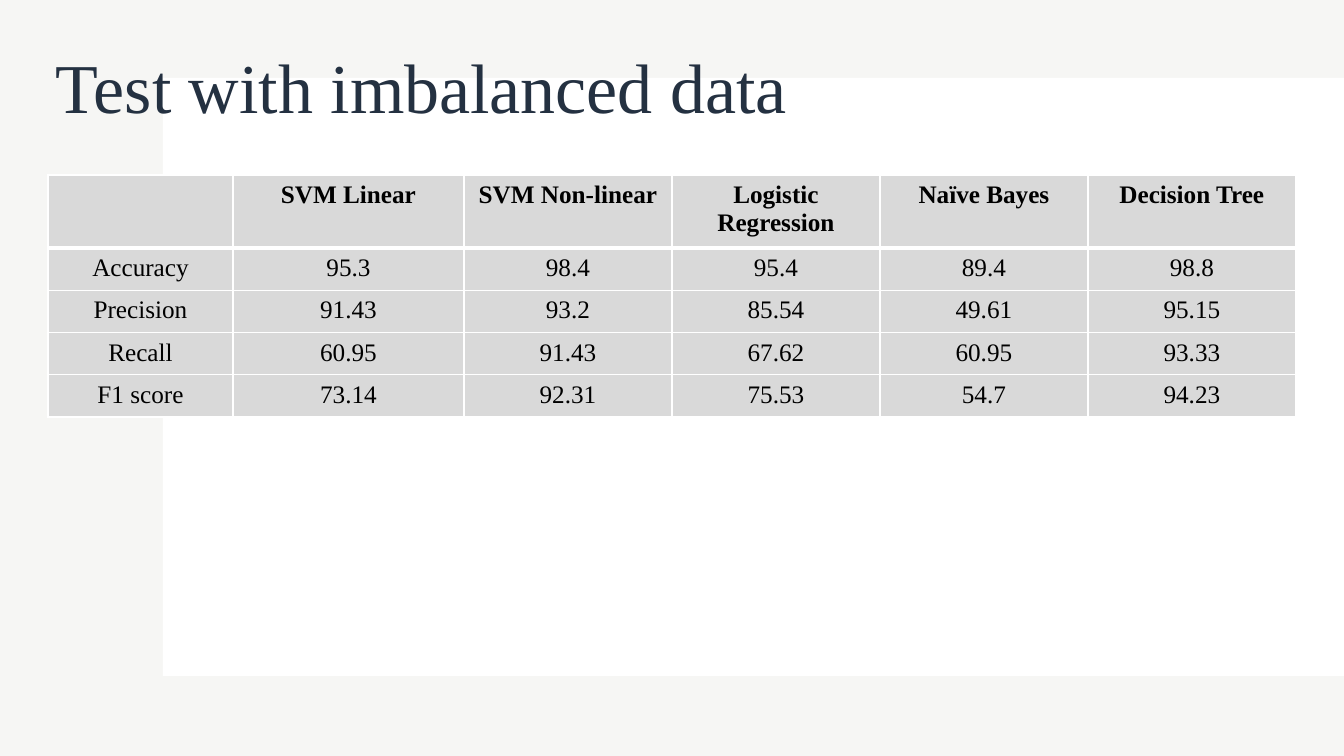
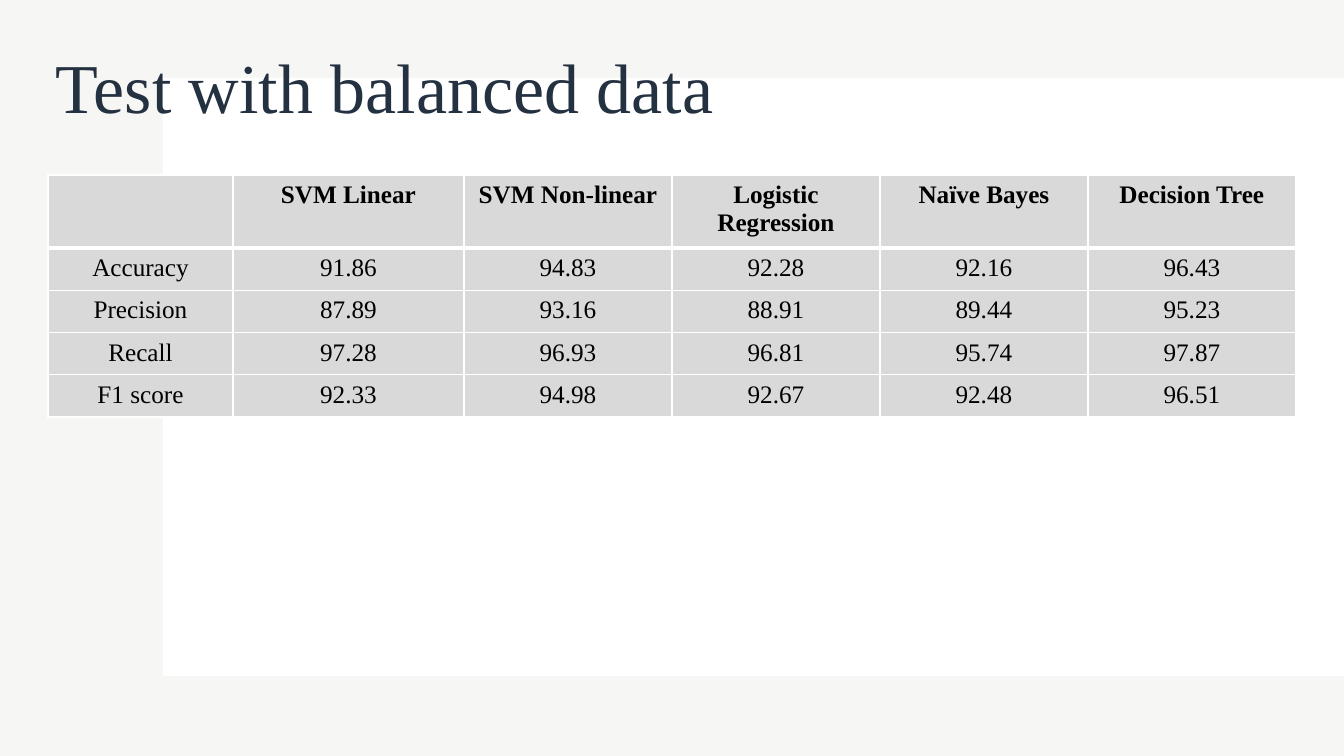
from dataclasses import dataclass

from lxml.etree import SubElement
from pptx import Presentation
from pptx.dml.color import RGBColor
from pptx.enum.shapes import MSO_SHAPE
from pptx.enum.text import MSO_ANCHOR, PP_ALIGN
from pptx.oxml import parse_xml
from pptx.oxml.ns import nsdecls, qn
from pptx.util import Emu, Pt

# Shared look
PX_PER_INCH = 100.8
SLIDE_WIDTH, SLIDE_HEIGHT = 1344, 756
FONT = "Times New Roman"
COLORS = {
    "backdrop": "E6E8E2",
    "panel": "FFFFFF",
    "title": "243141",
    "text": "000000",
    "cell": "D9D9D9",
    "border": "FFFFFF",
}

# Table grid
TABLE_LEFT, TABLE_TOP = 48, 175
COLUMN_WIDTHS = [185, 231] + [208] * 4
ROW_HEIGHTS = [73] + [42] * 4
CELL_MARGIN_X, CELL_MARGIN_Y = 12, 6
THIN, THICK = 1, 3

MODELS = ("SVM Linear", "SVM Non-linear", "Logistic Regression",
          "Naïve Bayes", "Decision Tree")
METRICS = ("Accuracy", "Precision", "Recall", "F1 score")


@dataclass(frozen=True)
class Band:
    left: int
    top: int
    width: int
    height: int
    color: str
    opacity: int = 100


@dataclass(frozen=True)
class ResultSlide:
    title: str
    scores: tuple[tuple[str, ...], ...]


BANDS = (
    Band(0, 0, SLIDE_WIDTH, SLIDE_HEIGHT, "backdrop", opacity=35),
    Band(163, 78, SLIDE_WIDTH - 163, 598, "panel"),
)

RESULTS = (
    ResultSlide("Test with imbalanced data", (
        ("95.3", "98.4", "95.4", "89.4", "98.8"),
        ("91.43", "93.2", "85.54", "49.61", "95.15"),
        ("60.95", "91.43", "67.62", "60.95", "93.33"),
        ("73.14", "92.31", "75.53", "54.7", "94.23"),
    )),
    ResultSlide("Test with balanced data", (
        ("91.86", "94.83", "92.28", "92.16", "96.43"),
        ("87.89", "93.16", "88.91", "89.44", "95.23"),
        ("97.28", "96.93", "96.81", "95.74", "97.87"),
        ("92.33", "94.98", "92.67", "92.48", "96.51"),
    )),
)


def px(length: int) -> Emu:
    return Emu(round(length * 914400 / PX_PER_INCH))


def rgb(name: str) -> RGBColor:
    return RGBColor.from_string(COLORS[name])


def add_span(para, text: str, size: int, color: str, bold: bool = False) -> None:
    span = para.add_run()
    span.text = text
    span.font.name = FONT
    span.font.size = Pt(size)
    span.font.bold = bold
    span.font.color.rgb = rgb(color)


def draw_band(page, band: Band) -> None:
    shape = page.shapes.add_shape(
        MSO_SHAPE.RECTANGLE, px(band.left), px(band.top), px(band.width), px(band.height))
    shape.shadow.inherit = False
    shape.fill.solid()
    shape.fill.fore_color.rgb = rgb(band.color)
    shape.line.fill.background()
    if band.opacity < 100:
        color = shape.fill._xPr.find(qn("a:solidFill"))[0]
        SubElement(color, qn("a:alpha"), val=str(band.opacity * 1000))


def draw_title(page, text: str) -> None:
    box = page.shapes.add_textbox(px(46), px(18), px(1162), px(146))
    frame = box.text_frame
    frame.word_wrap = True
    frame.vertical_anchor = MSO_ANCHOR.MIDDLE
    para = frame.paragraphs[0]
    para.line_spacing = 0.9
    add_span(para, text, 50, "title")


def set_borders(cell, top: int, bottom: int) -> None:
    properties = cell._tc.get_or_add_tcPr()
    sides = (("L", THIN), ("R", THIN), ("T", top), ("B", bottom))
    for position, (side, points) in enumerate(sides):
        line = parse_xml(
            f'<a:ln{side} {nsdecls("a")} w="{Pt(points)}"><a:solidFill>'
            f'<a:srgbClr val="{COLORS["border"]}"/></a:solidFill></a:ln{side}>')
        properties.insert(position, line)


def fill_cell(cell, text: str, row: int) -> None:
    cell.margin_left = cell.margin_right = px(CELL_MARGIN_X)
    cell.margin_top = cell.margin_bottom = px(CELL_MARGIN_Y)
    cell.fill.solid()
    cell.fill.fore_color.rgb = rgb("cell")
    # The heavy rule lies between the header and the first metric
    set_borders(cell, top=THICK if row == 1 else THIN, bottom=THICK if row == 0 else THIN)
    if text:
        para = cell.text_frame.paragraphs[0]
        para.alignment = PP_ALIGN.CENTER
        add_span(para, text, 18, "text", bold=row == 0)


def draw_table(page, scores: tuple[tuple[str, ...], ...]) -> None:
    rows = [("", *MODELS)] + [(metric, *values) for metric, values in zip(METRICS, scores)]
    table = page.shapes.add_table(
        len(rows), len(COLUMN_WIDTHS), px(TABLE_LEFT), px(TABLE_TOP),
        px(sum(COLUMN_WIDTHS)), px(sum(ROW_HEIGHTS))).table
    table.first_row = table.horz_banding = False
    for column, width in zip(table.columns, COLUMN_WIDTHS):
        column.width = px(width)
    for table_row, height in zip(table.rows, ROW_HEIGHTS):
        table_row.height = px(height)
    for row, texts in enumerate(rows):
        for column, text in enumerate(texts):
            fill_cell(table.cell(row, column), text, row)


def main() -> None:
    deck = Presentation()
    deck.slide_width, deck.slide_height = px(SLIDE_WIDTH), px(SLIDE_HEIGHT)
    for result in RESULTS:
        page = deck.slides.add_slide(deck.slide_layouts[6])
        for band in BANDS:
            draw_band(page, band)
        draw_title(page, result.title)
        draw_table(page, result.scores)
    deck.save("out.pptx")


if __name__ == "__main__":
    main()
